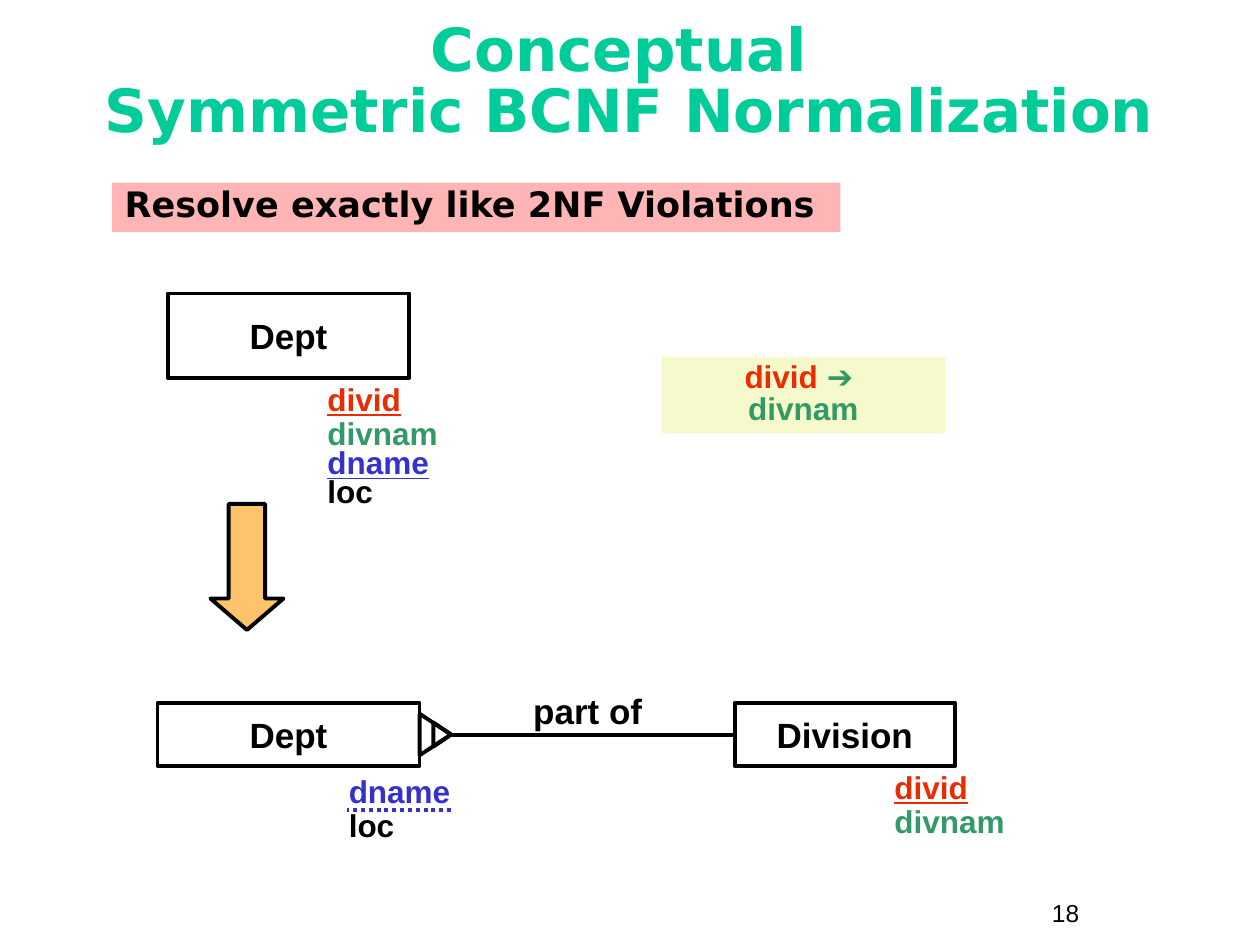
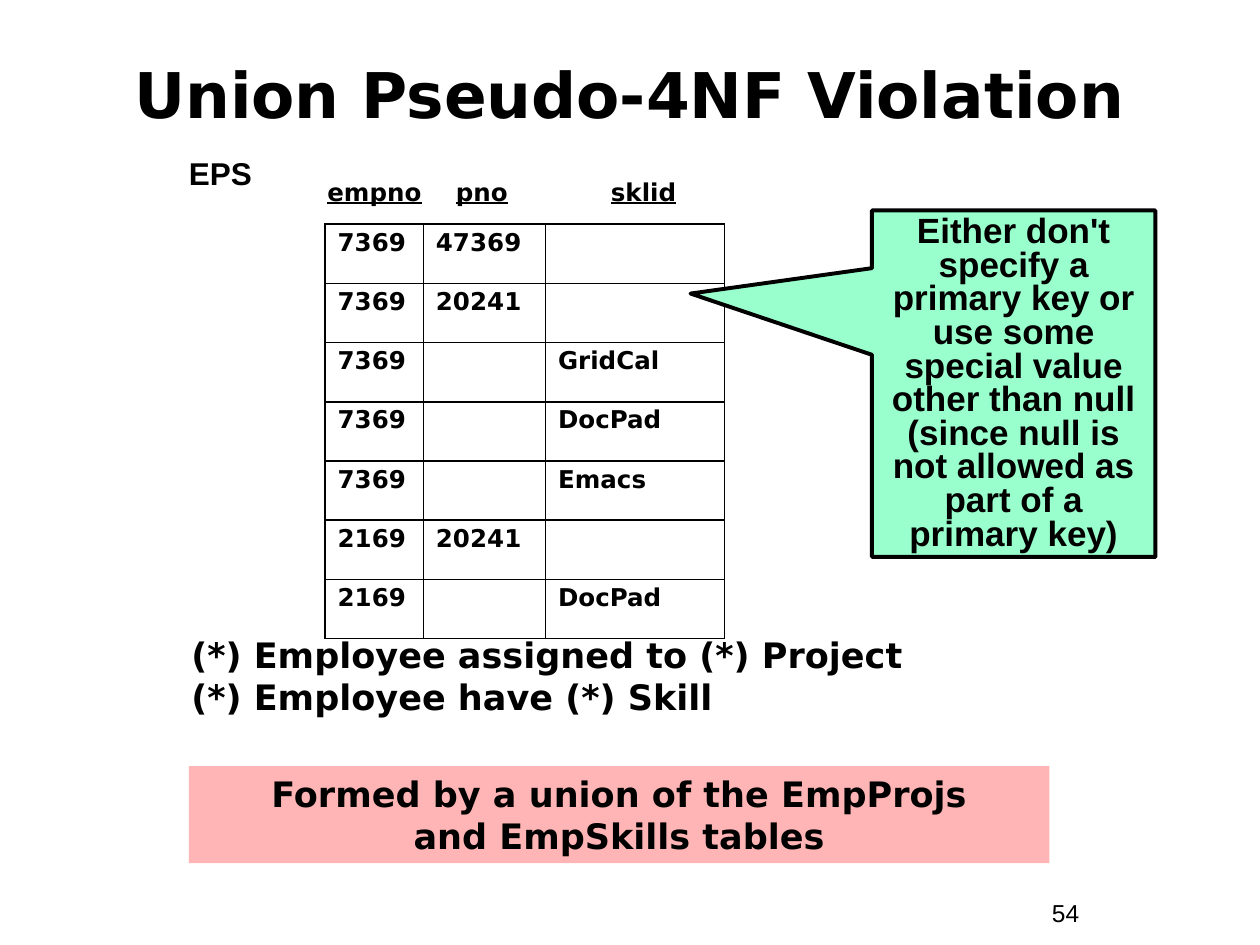
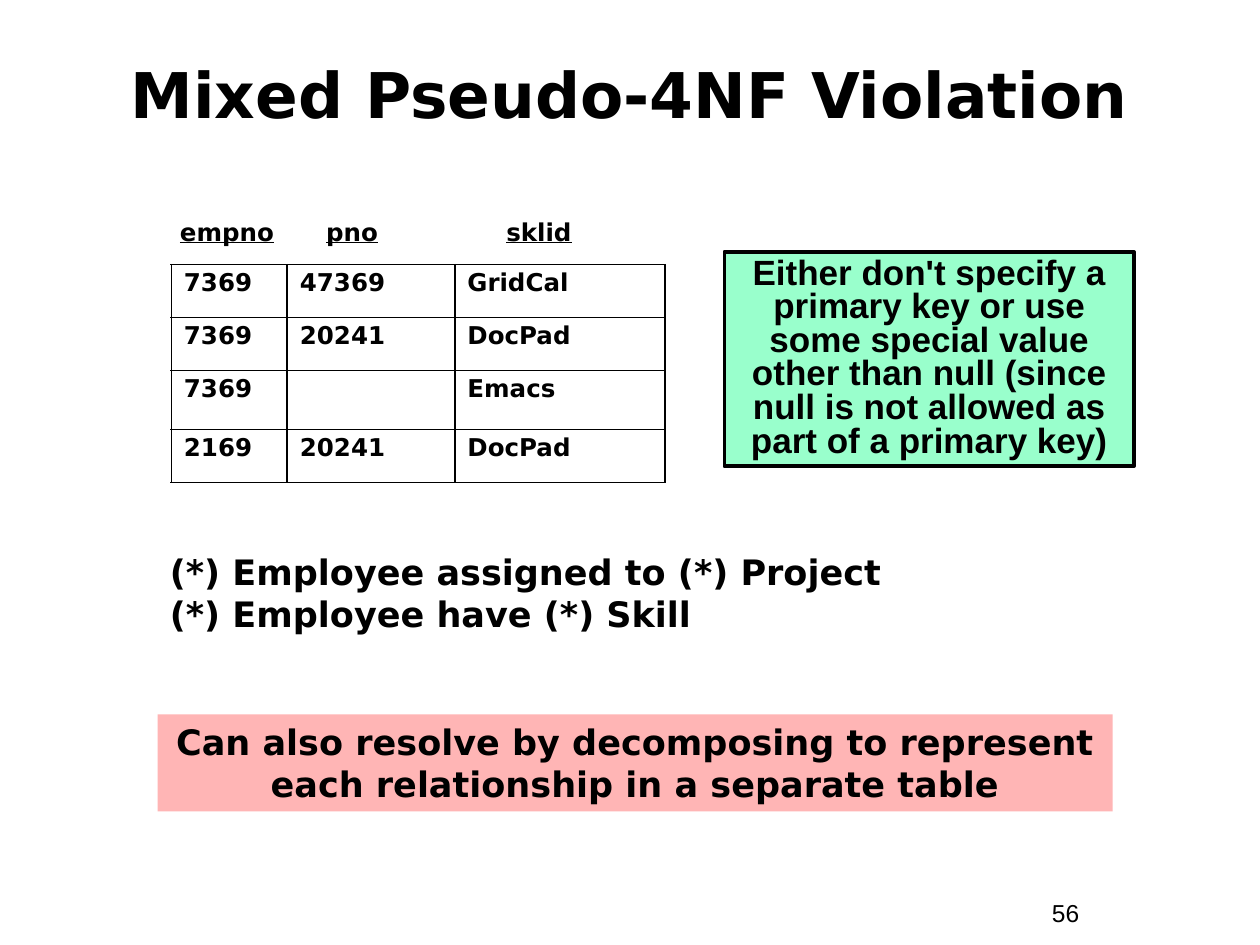
from pptx import Presentation
from pptx.dml.color import RGBColor
from pptx.enum.dml import MSO_LINE
from pptx.enum.shapes import MSO_CONNECTOR, MSO_SHAPE
from pptx.enum.text import MSO_ANCHOR, PP_ALIGN
from pptx.oxml.ns import qn
from pptx.util import Inches, Pt
from lxml.etree import SubElement

COLORS = {
    "black": "000000", "title_green": "00CC99", "key_red": "EA2D00",
    "green": "339966", "blue": "3333CC", "orange": "FFC36B",
    "pink": "FFB5B5", "yellow": "F6F9CB", "mint": "99FFCC",
}
SANS, HEADING = "Arial", "DejaVu Sans"
OUTLINE = 2.25
ADVICE = ("Either don't specify a primary key or use some special value other "
          "than null (since null is not allowed as part of a primary key)")
RULES = "(*) Employee assigned to (*) Project\v(*) Employee have (*) Skill"


def rgb(name):
    return RGBColor.from_string(COLORS[name])


def inches(box):
    return [Inches(length) for length in box]


# Text and shape helpers
def style(run, size, font=SANS, color="black", bold=True, underline=False):
    run.font.size, run.font.name = Pt(size), font
    run.font.bold, run.font.underline = bold, underline
    run.font.color.rgb = rgb(color)


def write(frame, text, size, align=PP_ALIGN.LEFT, spacing=1.0,
          anchor=MSO_ANCHOR.TOP, wrap=True, **look):
    frame.word_wrap, frame.vertical_anchor = wrap, anchor
    frame.text = text
    for paragraph in frame.paragraphs:
        paragraph.alignment, paragraph.line_spacing = align, spacing
        for run in paragraph.runs:
            style(run, size, **look)


def add_label(slide, box, text, size, **look):
    label = slide.shapes.add_textbox(*inches(box))
    write(label.text_frame, text, size, **look)
    return label


def add_figure(slide, kind, box, fill=None, outlined=True):
    figure = slide.shapes.add_shape(kind, *inches(box))
    figure.shadow.inherit = False
    if fill:
        figure.fill.solid()
        figure.fill.fore_color.rgb = rgb(fill)
    else:
        figure.fill.background()
    if outlined:
        figure.line.color.rgb = rgb("black")
        figure.line.width = Pt(OUTLINE)
    else:
        figure.line.fill.background()
    return figure


def add_line(slide, start, end, color="black"):
    line = slide.shapes.add_connector(MSO_CONNECTOR.STRAIGHT,
                                      *inches(start + end))
    line.line.color.rgb = rgb(color)
    line.line.width = Pt(OUTLINE)
    SubElement(line._element.spPr, qn("a:effectLst"))
    return line


# Parts shared by the slides
def add_base(deck, title, number, height=0.92, size=36, color="black"):
    slide = deck.slides.add_slide(deck.slide_layouts[6])
    add_label(slide, (0.33, 0.33, 9.33, height), title, size, font=HEADING,
              color=color, align=PP_ALIGN.CENTER, spacing=0.85,
              anchor=MSO_ANCHOR.MIDDLE)
    add_label(slide, (8.25, 7.08, 0.92, 0.34), str(number), 14, bold=False)
    return slide


def add_band(slide, box, text, align=PP_ALIGN.CENTER, spacing=1.0):
    band = add_figure(slide, MSO_SHAPE.RECTANGLE, box, "pink", outlined=False)
    write(band.text_frame, text, 20, font=HEADING, align=align,
          spacing=spacing)


def add_advice(slide, kind, box):
    advice = add_figure(slide, kind, box, "mint")
    write(advice.text_frame, ADVICE, 20, align=PP_ALIGN.CENTER, spacing=0.8)
    return advice


# Entity diagram parts
def add_entity(slide, box, name):
    entity = add_figure(slide, MSO_SHAPE.RECTANGLE, box)
    write(entity.text_frame, name, 20, align=PP_ALIGN.CENTER,
          anchor=MSO_ANCHOR.MIDDLE, wrap=False)


def add_attributes(slide, box, attributes):
    """Each attribute is (name, color, underline, line spacing)."""
    names = "\n".join(attribute[0] for attribute in attributes)
    listing = add_label(slide, box, names, 18)
    for paragraph, (_, color, underline, spacing) in zip(
            listing.text_frame.paragraphs, attributes):
        paragraph.line_spacing = spacing
        style(paragraph.runs[0], 18, color=color, underline=underline)


def add_dependency(slide, box):
    dependency = add_figure(slide, MSO_SHAPE.RECTANGLE, box, "yellow",
                            outlined=False)
    write(dependency.text_frame, "divid ", 18, color="key_red",
          align=PP_ALIGN.CENTER, spacing=0.85)
    paragraph = dependency.text_frame.paragraphs[0]
    for index, text in enumerate(("➔ ", "divnam")):
        if index:
            paragraph.add_line_break()
        run = paragraph.add_run()
        run.text = text
        style(run, 18, color="green")


def add_relationship(slide, box, name):
    left, top, width, height = box
    middle, foot = top + height / 2, 0.25
    add_line(slide, (left + width, middle), (left + foot, middle))
    # Nested triangles, turned to point right, share their tip
    for spread, depth in ((0.33, foot), (0.19, 0.14)):
        center = left + foot - depth / 2
        triangle = add_figure(
            slide, MSO_SHAPE.ISOSCELES_TRIANGLE,
            (center - spread / 2, middle - depth / 2, spread, depth))
        triangle.rotation = 90
    add_label(slide, (left + 0.5, top - 0.16, 1.67, 0.44), name, 20,
              align=PP_ALIGN.CENTER)


# Relation table parts
def add_borders(cell):
    properties = cell._tc.get_or_add_tcPr()
    for side in ("a:lnL", "a:lnR", "a:lnT", "a:lnB"):
        border = SubElement(properties, qn(side), w=str(Pt(1.08)))
        fill = SubElement(border, qn("a:solidFill"))
        SubElement(fill, qn("a:srgbClr"), val=COLORS["black"])


def add_column_names(slide, box, stops):
    heading = add_label(slide, box, "", 14)
    paragraph = heading.text_frame.paragraphs[0]
    tabs = SubElement(paragraph._p.get_or_add_pPr(), qn("a:tabLst"))
    for stop in stops:
        SubElement(tabs, qn("a:tab"), pos=str(Inches(stop)), algn="l")
    for text in ("empno", "\t", "pno", "\t", "sklid"):
        run = paragraph.add_run()
        run.text = text
        style(run, 14, font=HEADING, underline=text != "\t")


def add_relation(slide, left, top, widths, heights, records):
    frame = slide.shapes.add_table(
        len(records), len(widths),
        *inches((left, top, sum(widths), sum(heights))))
    relation = frame.table
    relation.first_row = relation.horz_banding = False
    for column, width in zip(relation.columns, widths):
        column.width = Inches(width)
    for row, height, record in zip(relation.rows, heights, records):
        row.height = Inches(height)
        for cell, value in zip(row.cells, record):
            add_borders(cell)
            cell.fill.background()
            if value:
                write(cell.text_frame, value, 14, font=HEADING, spacing=0.9)


# Slides
def build_normalization(deck):
    slide = add_base(deck, "Conceptual \vSymmetric BCNF Normalization", 18,
                     height=0.67, size=34, color="title_green")
    add_band(slide, (0.89, 1.45, 5.78, 0.39),
             "Resolve exactly like 2NF Violations", PP_ALIGN.LEFT, 0.85)

    # Before: one entity with a dependency
    divid = ("divid", "key_red", True, 0.9)
    divnam = ("divnam", "green", False, 0.9)
    add_entity(slide, (1.33, 2.33, 1.92, 0.67), "Dept")
    add_attributes(slide, (2.5, 3, 1.33, 1.09), [
        divid, divnam,
        ("dname", "blue", True, 0.75), ("loc", "black", False, 0.75)])
    add_dependency(slide, (5.25, 2.83, 2.25, 0.61))
    step = add_figure(slide, MSO_SHAPE.DOWN_ARROW, (1.67, 4, 0.58, 1),
                      "orange")
    step.adjustments[1] = 0.43

    # After: two related entities
    add_entity(slide, (1.25, 5.58, 2.08, 0.5), "Dept")
    add_entity(slide, (5.83, 5.58, 1.75, 0.5), "Division")
    add_relationship(slide, (3.33, 5.58, 2.5, 0.5), "part of")
    add_attributes(slide, (7, 6.08, 1.42, 0.64), [divid, divnam])
    add_attributes(slide, (2.67, 6.11, 1.67, 0.64), [
        ("dname", "blue", False, 0.9), ("loc", "black", False, 0.9)])
    partial_key = add_line(slide, (3.58, 6.43), (2.75, 6.43), "blue")
    partial_key.line.dash_style = MSO_LINE.ROUND_DOT


def build_union(deck):
    slide = add_base(deck, "Union Pseudo-4NF Violation", 54)
    add_label(slide, (1, 1.21, 1.5, 0.37), "EPS", 18,
              align=PP_ALIGN.CENTER, spacing=0.9)
    add_column_names(slide, (2.5, 1.36, 3.66, 0.34), (1.02, 2.25))
    records = [
        ("7369", "47369", ""), ("7369", "20241", ""),
        ("7369", "", "GridCal"), ("7369", "", "DocPad"),
        ("7369", "", "Emacs"), ("2169", "20241", ""),
        ("2169", "", "DocPad")]
    add_relation(slide, 2.58, 1.78, (0.78, 0.97, 1.42),
                 [0.47] * len(records), records)
    callout = add_advice(slide, MSO_SHAPE.RECTANGULAR_CALLOUT,
                         (6.92, 1.67, 2.25, 2.75))
    callout.adjustments[0], callout.adjustments[1] = -1.14, -0.26
    add_label(slide, (1.42, 4.98, 7.17, 0.77), RULES, 20, font=HEADING)
    add_band(slide, (1.5, 6.08, 6.83, 0.77),
             "Formed by a union of the EmpProjs\vand EmpSkills tables")


def build_mixed(deck):
    slide = add_base(deck, "Mixed Pseudo-4NF Violation", 56)
    add_column_names(slide, (1.33, 1.67, 3.66, 0.34), (1.16, 2.59))
    add_relation(slide, 1.36, 2.1, (0.92, 1.33, 1.67),
                 (0.42, 0.42, 0.47, 0.42), [
                     ("7369", "47369", "GridCal"),
                     ("7369", "20241", "DocPad"),
                     ("7369", "", "Emacs"),
                     ("2169", "20241", "DocPad")])
    add_advice(slide, MSO_SHAPE.RECTANGLE, (5.75, 2, 3.25, 1.7))
    add_label(slide, (1.25, 4.32, 7.17, 0.77), RULES, 20, font=HEADING)
    add_band(slide, (1.25, 5.67, 7.58, 0.77),
             "Can also resolve by decomposing to represent "
             "each relationship in a separate table")


def main():
    deck = Presentation()
    deck.slide_width, deck.slide_height = Inches(10), Inches(7.5)
    build_normalization(deck)
    build_union(deck)
    build_mixed(deck)
    deck.save("out.pptx")


if __name__ == "__main__":
    main()
